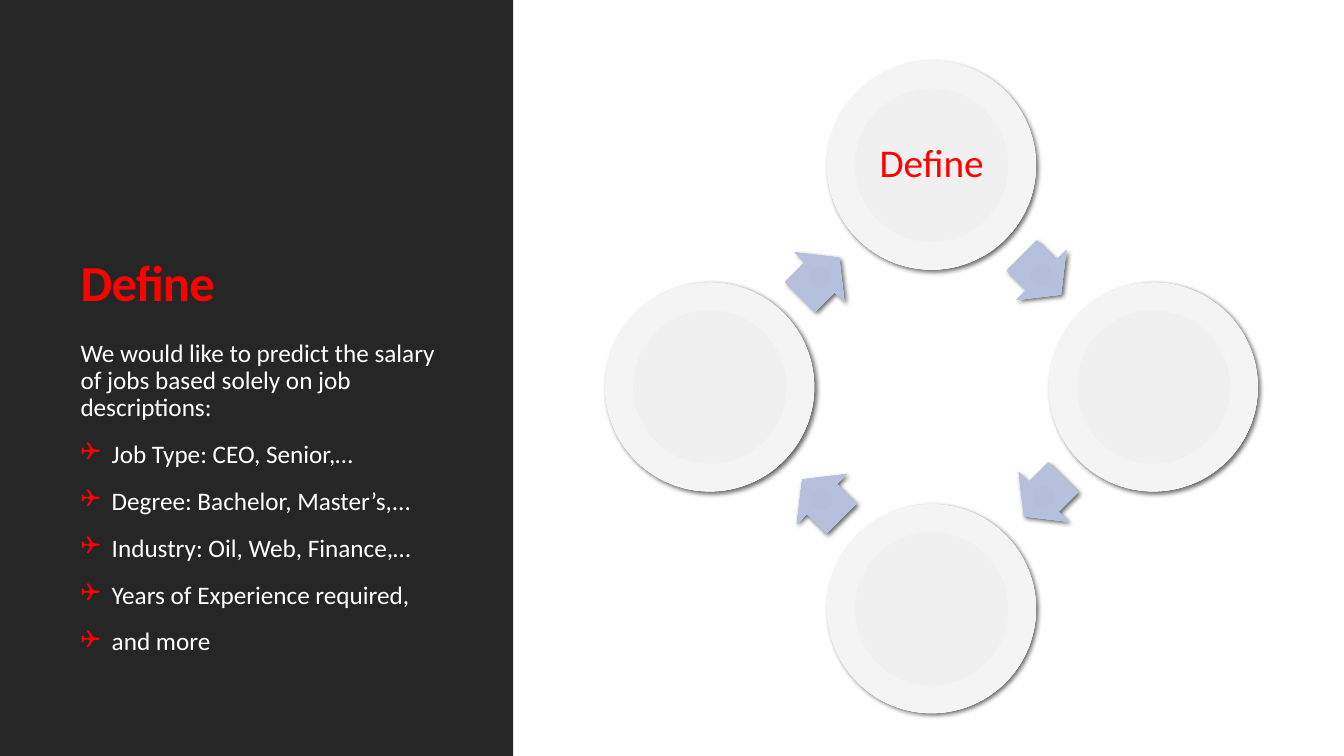
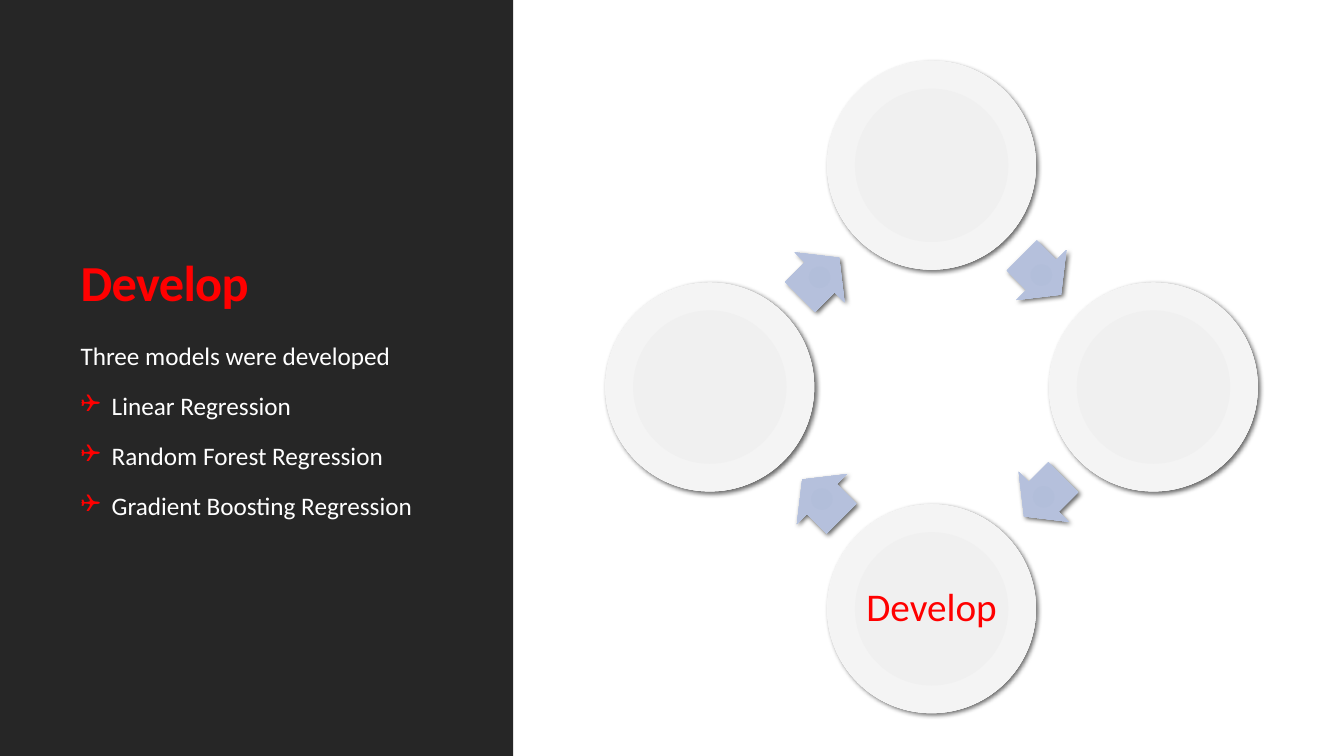
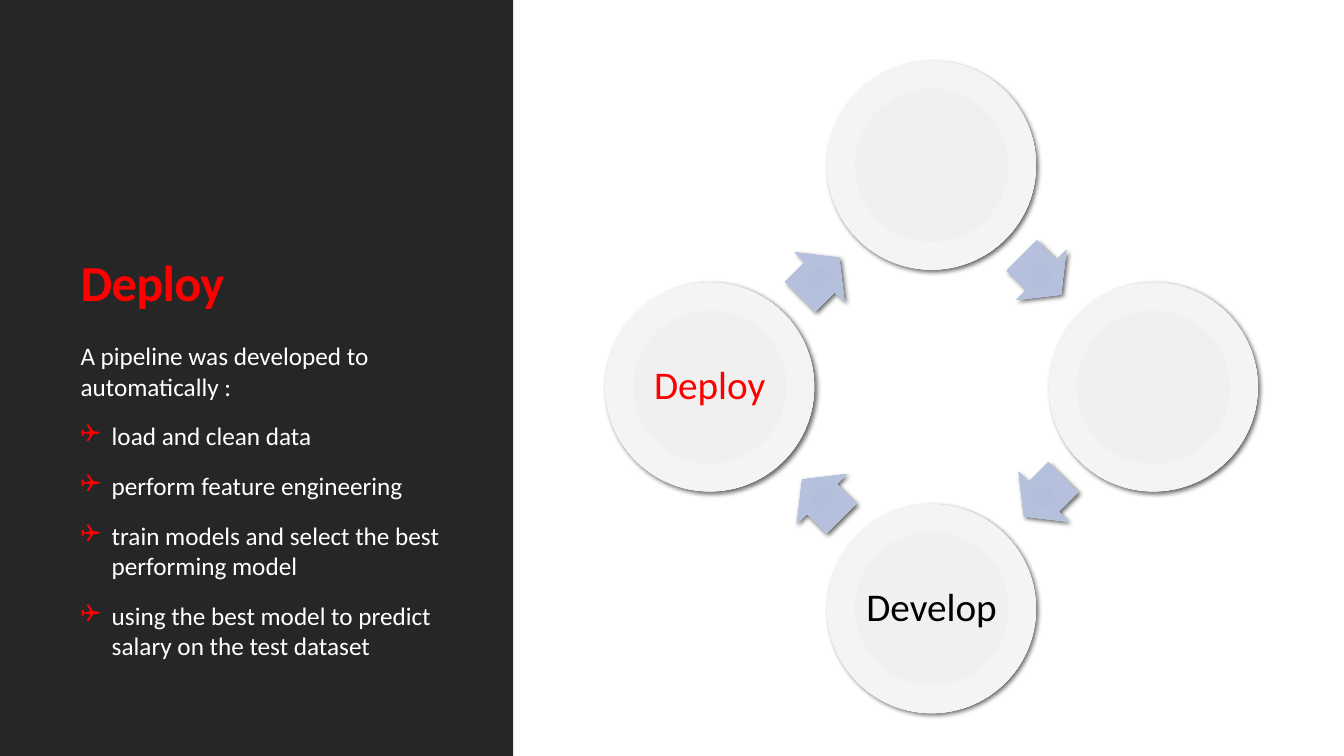
"""Build three slides of a data science process around one cycle diagram."""
from dataclasses import dataclass
from math import cos, radians, sin

from pptx import Presentation
from pptx.dml.color import RGBColor
from pptx.enum.shapes import MSO_SHAPE
from pptx.enum.text import MSO_ANCHOR, PP_ALIGN
from pptx.oxml import parse_xml
from pptx.oxml.ns import nsdecls, qn
from pptx.slide import Slide, SlideLayout
from pptx.util import Inches, Pt


@dataclass(frozen=True)
class Theme:
    """Colours, gradients, fonts and type sizes of the deck."""

    font: str = "Calibri"
    bullet_font: str = "Wingdings"
    title_size: int = 36
    label_size: int = 28
    body_size: int = 18
    accent: str = "FF0000"
    panel: str = "262626"
    white: str = "FFFFFF"
    black: str = "000000"
    circle_stops: tuple = ((0, "EEEEEE"), (34, "F0F0F0"), (70, "F4F4F4"), (100, "FFFFFF"))
    arrow_stops: tuple = ((0, "B2BEDA"), (34, "B5C0DC"), (70, "B6C3E0"), (100, "C2CDE7"))


@dataclass(frozen=True)
class Step:
    """Content of one slide and the colours of the labels its cycle shows."""

    title: str
    lead: str
    bullets: tuple[str, ...]
    label_colors: dict[str, str]
    line_spacing: float = 1.0


THEME = Theme()
SLIDE_WIDTH, SLIDE_HEIGHT = 13.33, 7.5
PANEL_WIDTH = 5.09
TEXT_LEFT, TEXT_WIDTH = 0.7, 3.85
BULLET_INDENT = 0.31
CENTER_X, CENTER_Y, RADIUS = 9.24, 3.84, 2.2
DIAMETER = 2.07
ARROW_WIDTH, ARROW_HEIGHT = 0.55, 0.7
ARROW_POSITION = 0.495
LABELS = ("Define", "Discover", "Develop", "Deploy")

STEPS = (
    Step(
        "Define",
        "We would like to predict the salary of jobs based solely on job descriptions:",
        (
            "Job Type: CEO, Senior,…",
            "Degree: Bachelor, Master’s,...",
            "Industry: Oil, Web, Finance,…",
            "Years of Experience required,",
            "and more",
        ),
        {"Define": THEME.accent},
        0.9,
    ),
    Step(
        "Develop",
        "Three models were developed",
        ("Linear Regression", "Random Forest Regression", "Gradient Boosting Regression"),
        {"Develop": THEME.accent},
    ),
    Step(
        "Deploy",
        "A pipeline was developed to automatically :",
        (
            "load and clean data",
            "perform feature engineering",
            "train models and select the best performing model",
            "using the best model to predict salary on the test dataset",
        ),
        {"Develop": THEME.black, "Deploy": THEME.accent},
    ),
)


def style_font(paragraph, size: int, color: str, bold: bool = False) -> None:
    """Set the font of a whole paragraph."""
    font = paragraph.font
    font.name, font.size, font.bold = THEME.font, Pt(size), bold
    font.color.rgb = RGBColor.from_string(color)


def add_panel(slide: Slide, layout: SlideLayout) -> None:
    """Draw the dark side panel and place it in the shared layout."""
    panel = slide.shapes.add_shape(
        MSO_SHAPE.RECTANGLE, 0, 0, Inches(PANEL_WIDTH), Inches(SLIDE_HEIGHT)
    )
    panel.shadow.inherit = False
    panel.fill.solid()
    panel.fill.fore_color.rgb = RGBColor.from_string(THEME.panel)
    panel.line.fill.background()
    panel.element.nvSpPr.cNvPr.set("id", "20")
    layout.shapes.element.insert(2, panel.element)


def add_glossy_shape(
    slide: Slide, kind: MSO_SHAPE, center: tuple[float, float],
    size: tuple[float, float], stops: tuple,
):
    """Add a centred shape with a radial gradient and a soft shadow."""
    (x, y), (width, height) = center, size
    shape = slide.shapes.add_shape(
        kind, Inches(x - width / 2), Inches(y - height / 2), Inches(width), Inches(height)
    )
    shape.line.fill.background()
    shape.shadow.inherit = False
    stop_xml = "".join(
        f'<a:gs pos="{position * 1000}"><a:srgbClr val="{color}"/></a:gs>'
        for position, color in stops
    )
    properties = shape.element.spPr
    properties.find(qn("a:ln")).addprevious(parse_xml(
        f'<a:gradFill {nsdecls("a")} rotWithShape="1"><a:gsLst>{stop_xml}</a:gsLst>'
        '<a:path path="circle"><a:fillToRect l="100000" t="100000" r="100000" b="100000"/>'
        '</a:path></a:gradFill>'
    ))
    properties.find(qn("a:effectLst")).append(parse_xml(
        f'<a:outerShdw {nsdecls("a")} blurRad="{Pt(3.5)}" dist="{Pt(2)}" dir="2700000" '
        f'algn="br" rotWithShape="0"><a:srgbClr val="{THEME.black}">'
        '<a:alpha val="60000"/></a:srgbClr></a:outerShdw>'
    ))
    return shape


def add_label(circle, label: str, color: str) -> None:
    """Write the name of a step in the middle of its circle."""
    frame = circle.text_frame
    frame.word_wrap = True
    frame.vertical_anchor = MSO_ANCHOR.MIDDLE
    frame.margin_left = frame.margin_right = Inches(0.04)
    frame.margin_top = frame.margin_bottom = Inches(0.04)
    paragraph = frame.paragraphs[0]
    paragraph.text = label
    paragraph.alignment = PP_ALIGN.CENTER
    paragraph.line_spacing = 0.9
    style_font(paragraph, THEME.label_size, color)


def add_cycle(slide: Slide, label_colors: dict[str, str]) -> None:
    """Draw the circles clockwise from the top, with an arrow after each."""
    angles = [radians(90 * index - 90) for index in range(len(LABELS))]
    centers = [(CENTER_X + RADIUS * cos(a), CENTER_Y + RADIUS * sin(a)) for a in angles]
    for index, (label, start) in enumerate(zip(LABELS, centers)):
        circle = add_glossy_shape(
            slide, MSO_SHAPE.OVAL, start, (DIAMETER, DIAMETER), THEME.circle_stops
        )
        if label in label_colors:
            add_label(circle, label, label_colors[label])
        end = centers[(index + 1) % len(centers)]
        middle = tuple(a + (b - a) * ARROW_POSITION for a, b in zip(start, end))
        arrow = add_glossy_shape(
            slide, MSO_SHAPE.RIGHT_ARROW, middle, (ARROW_WIDTH, ARROW_HEIGHT), THEME.arrow_stops
        )
        arrow.adjustments[0], arrow.adjustments[1] = 0.6, 0.5
        arrow.rotation = 45 + 90 * index


def format_title(slide: Slide, text: str) -> None:
    """Place and format the title placeholder."""
    title = slide.shapes.title
    title.left, title.top = Inches(TEXT_LEFT), Inches(0.86)
    title.width, title.height = Inches(TEXT_WIDTH), Inches(2.29)
    title.text_frame.text = text
    title.text_frame.vertical_anchor = MSO_ANCHOR.BOTTOM
    paragraph = title.text_frame.paragraphs[0]
    paragraph.alignment = PP_ALIGN.LEFT
    paragraph.line_spacing = 0.9
    style_font(paragraph, THEME.title_size, THEME.accent, bold=True)
    paragraph.font._element.set("spc", "-50")


def add_bullet(paragraph) -> None:
    """Give a paragraph a hanging red box bullet."""
    properties = paragraph._p.get_or_add_pPr()
    properties.set("marL", str(Inches(BULLET_INDENT)))
    properties.set("indent", str(-Inches(BULLET_INDENT)))
    for xml in (
        f'<a:buClr {nsdecls("a")}><a:srgbClr val="{THEME.accent}"/></a:buClr>',
        f'<a:buFont {nsdecls("a")} typeface="{THEME.bullet_font}" charset="2"/>',
        f'<a:buChar {nsdecls("a")} char="❑"/>',
    ):
        properties.append(parse_xml(xml))


def add_body(slide: Slide, step: Step) -> None:
    """Add the lead sentence and its bullets."""
    box = slide.shapes.add_textbox(
        Inches(TEXT_LEFT), Inches(3.33), Inches(TEXT_WIDTH), Inches(3.35)
    )
    frame = box.text_frame
    frame.word_wrap = True
    for index, text in enumerate((step.lead, *step.bullets)):
        paragraph = frame.add_paragraph() if index else frame.paragraphs[0]
        paragraph.text = text
        paragraph.line_spacing = step.line_spacing
        paragraph.space_after = Pt(2)
        if index:
            paragraph.space_before = Pt(12)
            add_bullet(paragraph)
        style_font(paragraph, THEME.body_size, THEME.white)


def main() -> None:
    """Build and save the presentation."""
    presentation = Presentation()
    presentation.slide_width = Inches(SLIDE_WIDTH)
    presentation.slide_height = Inches(SLIDE_HEIGHT)
    layout = presentation.slide_layouts[5]
    for index, step in enumerate(STEPS):
        slide = presentation.slides.add_slide(layout)
        if index == 0:
            add_panel(slide, layout)
        add_cycle(slide, step.label_colors)
        format_title(slide, step.title)
        add_body(slide, step)
    presentation.save("out.pptx")


if __name__ == "__main__":
    main()
